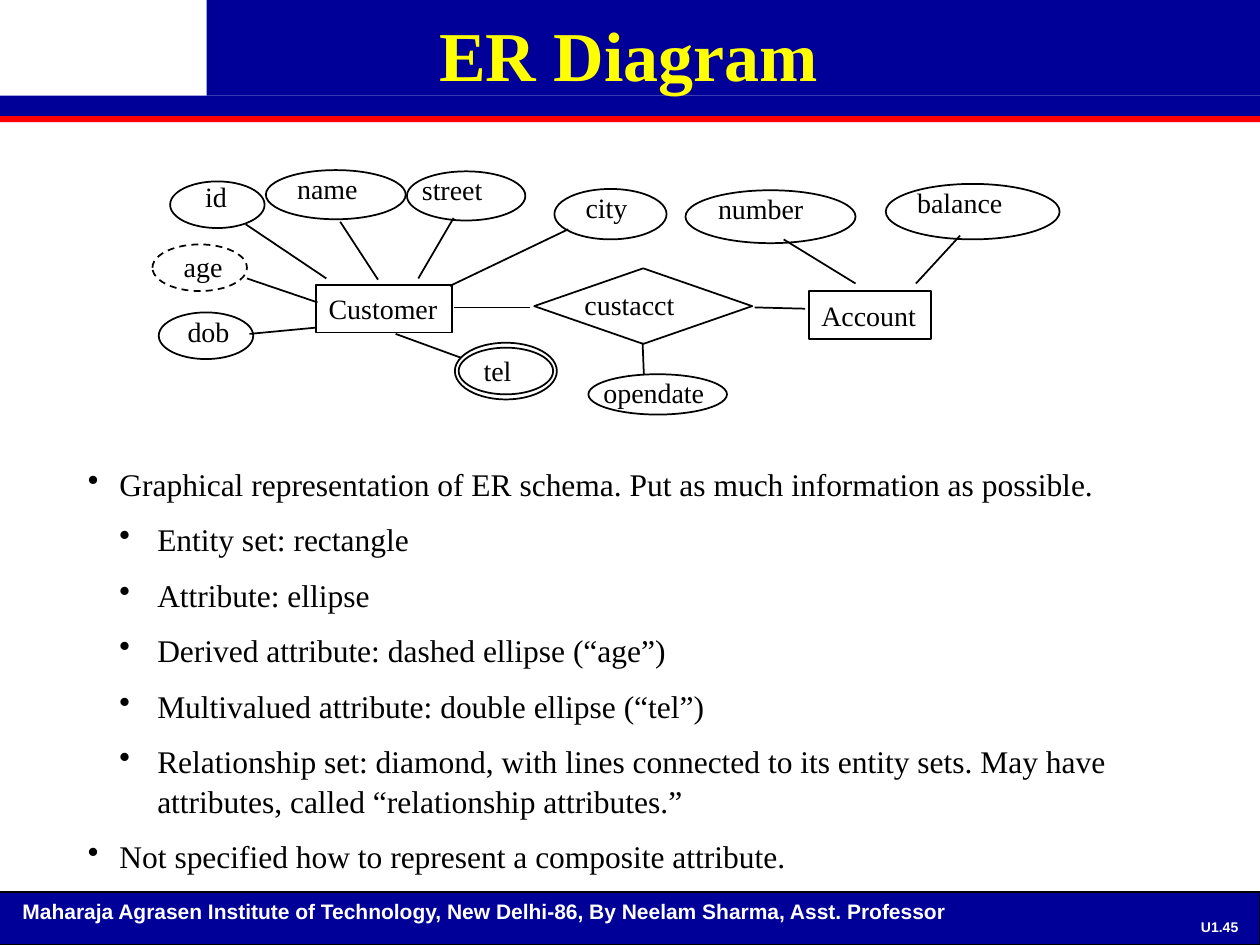
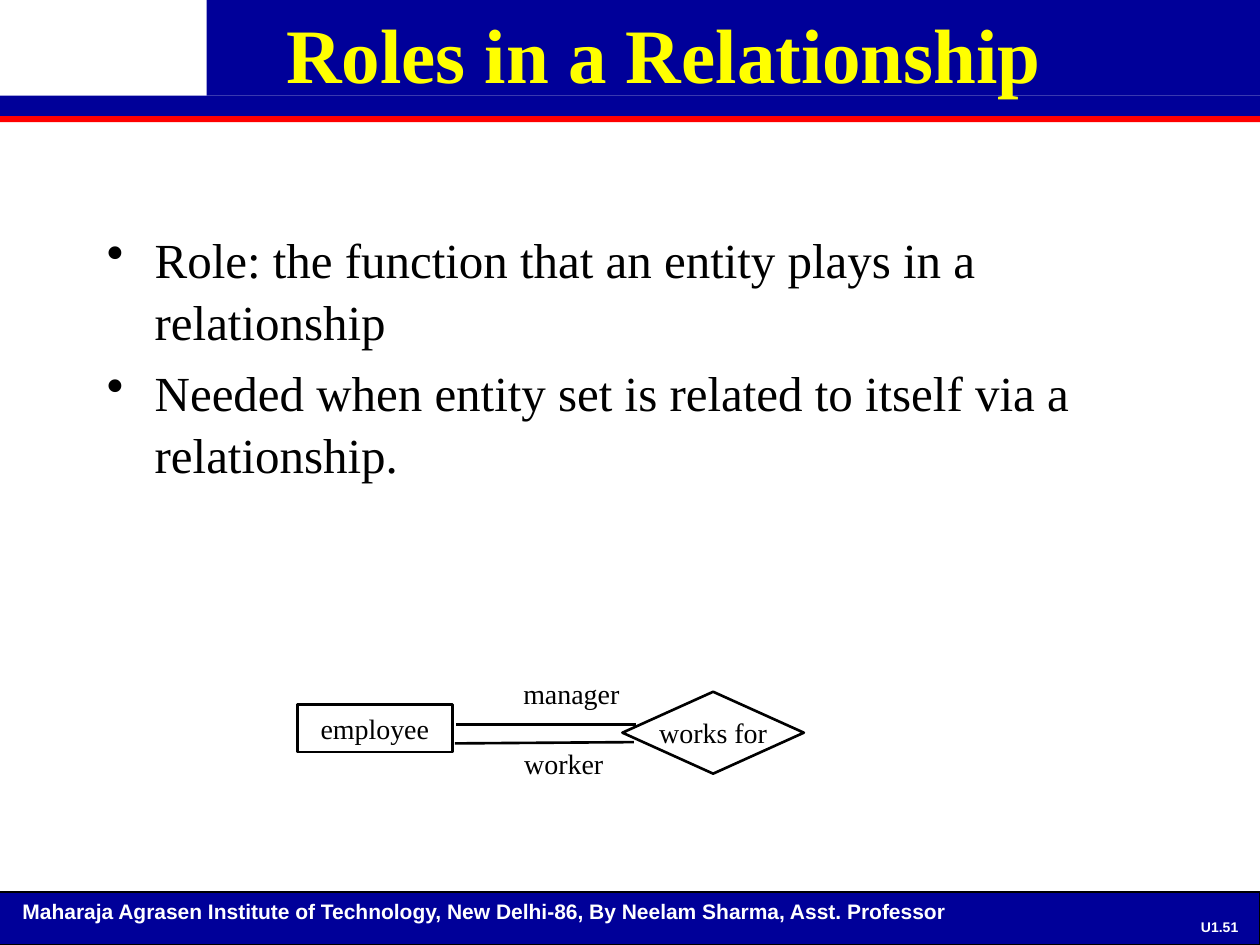
from dataclasses import dataclass

from lxml import etree
from pptx import Presentation
from pptx.dml.color import RGBColor
from pptx.enum.dml import MSO_LINE
from pptx.enum.shapes import MSO_CONNECTOR, MSO_SHAPE
from pptx.enum.text import MSO_ANCHOR, PP_ALIGN
from pptx.oxml.ns import qn
from pptx.util import Inches, Pt

RECTANGLE, ELLIPSE, DIAMOND = MSO_SHAPE.RECTANGLE, MSO_SHAPE.OVAL, MSO_SHAPE.DIAMOND
STRAIGHT, DASH = MSO_CONNECTOR.STRAIGHT, MSO_LINE.DASH
LEFT, CENTER = PP_ALIGN.LEFT, PP_ALIGN.CENTER
TOP, MIDDLE = MSO_ANCHOR.TOP, MSO_ANCHOR.MIDDLE


@dataclass(frozen=True)
class Theme:
    navy: RGBColor = RGBColor.from_string("000099")
    red: RGBColor = RGBColor.from_string("FF0000")
    yellow: RGBColor = RGBColor.from_string("FFFF00")
    black: RGBColor = RGBColor.from_string("000000")
    white: RGBColor = RGBColor.from_string("FFFFFF")
    serif: str = "Times New Roman"
    sans: str = "Arial"
    label: int = 16
    footer: int = 12
    page: int = 8
    line_spacing: float = 1.05


@dataclass(frozen=True)
class Grid:
    """A region whose columns and rows are each a tenth of an inch."""
    left: float = 0
    top: float = 0
    cell: float = 0.1

    def point(self, col, row):
        return Inches(self.left + col * self.cell), Inches(self.top + row * self.cell)

    def box(self, col, row, cols, rows):
        return *self.point(col, row), Inches(cols * self.cell), Inches(rows * self.cell)


THEME = Theme()
PAGE = Grid()
FOOTER = "Maharaja Agrasen Institute of Technology, New Delhi-86, By Neelam Sharma, Asst. Professor"
SERIF_LABEL = {"size": Pt(THEME.label), "name": THEME.serif}

# label, ellipse (col, row, cols, rows), label (col, row, cols)
ATTRIBUTES = [
    ("name", (9.1, 0.5, 11.1, 3.9), (10.6, 0.1, 6.8)),
    ("street", (20.3, 0.6, 9.4, 3.9), (20.5, 0.2, 6.9)),
    ("number", (42.4, 2.1, 13.5, 4.2), (44, 1.7, 8.8)),
    ("id", (1.5, 1.4, 7.5, 3.7), (3.3, 0.8, 3.8)),
    ("balance", (58.3, 1.6, 13.8, 4.4), (59.8, 1.2, 8.8)),
    ("city", (32, 2, 8.9, 4), (33.5, 1.6, 5.4)),
    ("opendate", (34.7, 16.7, 11, 3.2), (34.9, 16.3, 10.1)),
    ("age", (0.1, 6.4, 7.5, 3.7), (1.6, 6.3, 5.1)),
    ("dob", (0.6, 11.8, 7.5, 3.7), (1.9, 11.5, 5.3)),
    ("tel", (24.4, 14.6, 7.5, 3.7), (25.4, 14.6, 4.3)),
]
DERIVED = {"age"}
MULTIVALUED = {"tel": (24.1, 14.2, 8.1, 4.5)}
ENTITIES = [("Customer", (13.1, 9.6, 10.8, 3.8)), ("Account", (52.2, 10.1, 9.7, 3.8))]
LINKS = [
    ((13.9, 9.1), (7.5, 4.8)),      # Customer - id
    ((18, 9.2), (15, 4.6)),         # Customer - name
    ((21.2, 9.1), (24, 4.3)),       # Customer - street
    ((23.7, 9.7), (33.1, 5.2)),     # Customer - city
    ((13.2, 11), (7.6, 9.1)),       # Customer - age
    ((13.1, 13), (7.8, 13.5)),      # Customer - dob
    ((24.6, 15.4), (19.4, 13.5)),   # Customer - tel
    ((55.9, 9.5), (50.2, 6)),       # Account - number
    ((60.7, 9.5), (64.2, 5.7)),     # Account - balance
    ((30.1, 11.4), (24, 11.4)),     # custacct - Customer
    ((51.9, 11.5), (47.9, 11.4)),   # custacct - Account
    ((39.1, 16.7), (39, 14.2)),     # custacct - opendate
]

ER_NOTES = [
    (0, "Graphical representation of ER schema. Put as much information as possible."),
    (1, "Entity set: rectangle"),
    (1, "Attribute: ellipse"),
    (1, "Derived attribute: dashed ellipse (“age”)"),
    (1, "Multivalued attribute: double ellipse (“tel”)"),
    (1, "Relationship set: diamond, with lines connected to its entity sets. "
        "May have attributes, called “relationship attributes.”"),
    (0, "Not specified how to represent a composite attribute."),
]
ROLE_NOTES = [
    (0, "Role: the function that an entity plays in a relationship"),
    (0, "Needed when entity set is related to itself via a relationship."),
]


def apply(target, formats):
    for attribute, value in formats.items():
        setattr(target, attribute, value)


def write(paragraph, text, font, color, align=LEFT):
    paragraph.text = text
    paragraph.alignment = align
    apply(paragraph.font, font)
    paragraph.font.color.rgb = color


def add_text(slide, box, text, font, color=THEME.black, align=LEFT, **frame):
    text_frame = slide.shapes.add_textbox(*box).text_frame
    apply(text_frame, {"word_wrap": True, "vertical_anchor": TOP} | frame)
    write(text_frame.paragraphs[0], text, font, color, align)


def add_band(slide, box, color):
    band = slide.shapes.add_shape(RECTANGLE, *box)
    band.shadow.inherit = False
    band.fill.solid()
    band.fill.fore_color.rgb = color
    band.line.fill.background()
    return band


def add_outline(slide, kind, box, weight, text="", align=LEFT, dash=None):
    """Unfilled diagram node, with its text inside when it has one."""
    node = slide.shapes.add_shape(kind, *box)
    node.shadow.inherit = False
    node.fill.background()
    node.line.color.rgb = THEME.black
    apply(node.line, {"width": Pt(weight), "dash_style": dash})
    if text:
        apply(node.text_frame, {"word_wrap": False, "vertical_anchor": MIDDLE})
        write(node.text_frame.paragraphs[0], text, SERIF_LABEL, THEME.black, align)


def add_link(slide, start, end, weight):
    link = slide.shapes.add_connector(STRAIGHT, *start, *end)
    link.line.color.rgb = THEME.black
    link.line.width = Pt(weight)
    etree.SubElement(link._element.spPr, qn("a:effectLst"))


def add_bullets(slide, box, notes, size, levels, gaps, anchor):
    """levels and gaps give (indent, hang) in inches and space before by level."""
    text_frame = slide.shapes.add_textbox(*box).text_frame
    apply(text_frame, {"word_wrap": True, "vertical_anchor": anchor})
    for index, (level, text) in enumerate(notes):
        paragraph = text_frame.add_paragraph() if index else text_frame.paragraphs[0]
        indent, hang = levels[level]
        properties = paragraph._p.get_or_add_pPr()
        properties.set("marL", str(Inches(indent)))
        properties.set("indent", str(-Inches(hang)))
        etree.SubElement(properties, qn("a:buChar"), char="•")
        paragraph.line_spacing = THEME.line_spacing
        if index:
            paragraph.space_before = Pt(gaps[level])
        write(paragraph, text, {"size": Pt(size), "name": THEME.serif}, THEME.black)


def add_frame(slide, page_number):
    """Bands at the top and the footer that every slide shares."""
    add_band(slide, PAGE.box(0, 9.2, 100, 0.5), THEME.red)
    add_band(slide, PAGE.box(16.4, 0, 83.6, 7.6), THEME.navy)
    add_band(slide, PAGE.box(0, 7.6, 100, 1.6), THEME.navy)
    footer_band = add_band(slide, PAGE.box(-0.1, 70.8, 100.1, 4.2), THEME.navy)
    footer_band.line.color.rgb = THEME.black
    footer_band.line.width = Pt(0.75)
    sans = {"name": THEME.sans, "bold": True}
    add_text(slide, PAGE.box(0.8, 70.8, 94.8, 3), FOOTER,
             sans | {"size": Pt(THEME.footer)}, THEME.white)
    add_text(slide, PAGE.box(94.2, 72.6, 5.2, 1.9), page_number,
             sans | {"size": Pt(THEME.page)}, THEME.white, CENTER,
             vertical_anchor=MIDDLE, margin_left=0, margin_right=0)


def add_title(slide, box, text, size, anchor):
    add_text(slide, box, text, {"size": Pt(size), "name": THEME.serif, "bold": True},
             THEME.yellow, CENTER, vertical_anchor=anchor)


def draw_er_diagram(slide, grid, weight=1):
    for name, box in ENTITIES:
        add_outline(slide, RECTANGLE, grid.box(*box), weight, name)
    for name, ellipse, (col, row, cols) in ATTRIBUTES:
        add_outline(slide, ELLIPSE, grid.box(*ellipse), weight,
                    dash=DASH if name in DERIVED else None)
        if name in MULTIVALUED:
            add_outline(slide, ELLIPSE, grid.box(*MULTIVALUED[name]), weight)
        add_text(slide, grid.box(col, row, cols, 3.7), name, SERIF_LABEL, word_wrap=False)
    add_outline(slide, DIAMOND, grid.box(30.4, 8.3, 17.3, 6), weight)
    add_text(slide, grid.box(33.4, 9.3, 9.2, 3.7), "custacct", SERIF_LABEL, word_wrap=False)
    for start, end in LINKS:
        add_link(slide, grid.point(*start), grid.point(*end), weight)


def draw_role_diagram(slide, grid, weight=1.5):
    add_outline(slide, RECTANGLE, grid.box(0, 2.7, 12.3, 3.8), weight, "employee", CENTER)
    add_outline(slide, DIAMOND, grid.box(25.8, 1.7, 14.4, 6.5), weight, "works for", CENTER)
    roles = [("manager", (16.9, 0, 9.7, 3.7), (12.6, 4.3), (26.9, 4.3)),
             ("worker", (17, 5.5, 8.3, 3.7), (12.5, 5.8), (26.7, 5.7))]
    for role, box, start, end in roles:
        add_text(slide, grid.box(*box), role, SERIF_LABEL, align=CENTER,
                 word_wrap=False, vertical_anchor=MIDDLE)
        add_link(slide, grid.point(*start), grid.point(*end), weight)


def build_er_slide(slide):
    add_frame(slide, "U1.45")
    add_title(slide, PAGE.box(4.9, -2, 90, 12.5), "ER Diagram", 40, MIDDLE)
    add_bullets(slide, PAGE.box(6, 37.2, 89.4, 31.8), ER_NOTES, 18,
                levels=[(0.25, 0.25), (0.55, 0.3)], gaps=[9, 9], anchor=MIDDLE)
    draw_er_diagram(slide, Grid(1.2, 1.3))


def build_roles_slide(slide):
    add_frame(slide, "U1.51")
    add_title(slide, PAGE.box(7.7, 0, 90, 12.5), "Roles in a Relationship", 44, TOP)
    add_bullets(slide, PAGE.box(7.5, 17.5, 86.4, 32), ROLE_NOTES, 28,
                levels=[(0.38, 0.38)], gaps=[5.6], anchor=TOP)
    draw_role_diagram(slide, Grid(2.36, 5.32))


def main():
    deck = Presentation()
    deck.slide_width, deck.slide_height = Inches(10), Inches(7.5)
    blank = deck.slide_layouts[6]
    for build in (build_er_slide, build_roles_slide):
        build(deck.slides.add_slide(blank))
    deck.save("out.pptx")


if __name__ == "__main__":
    main()
